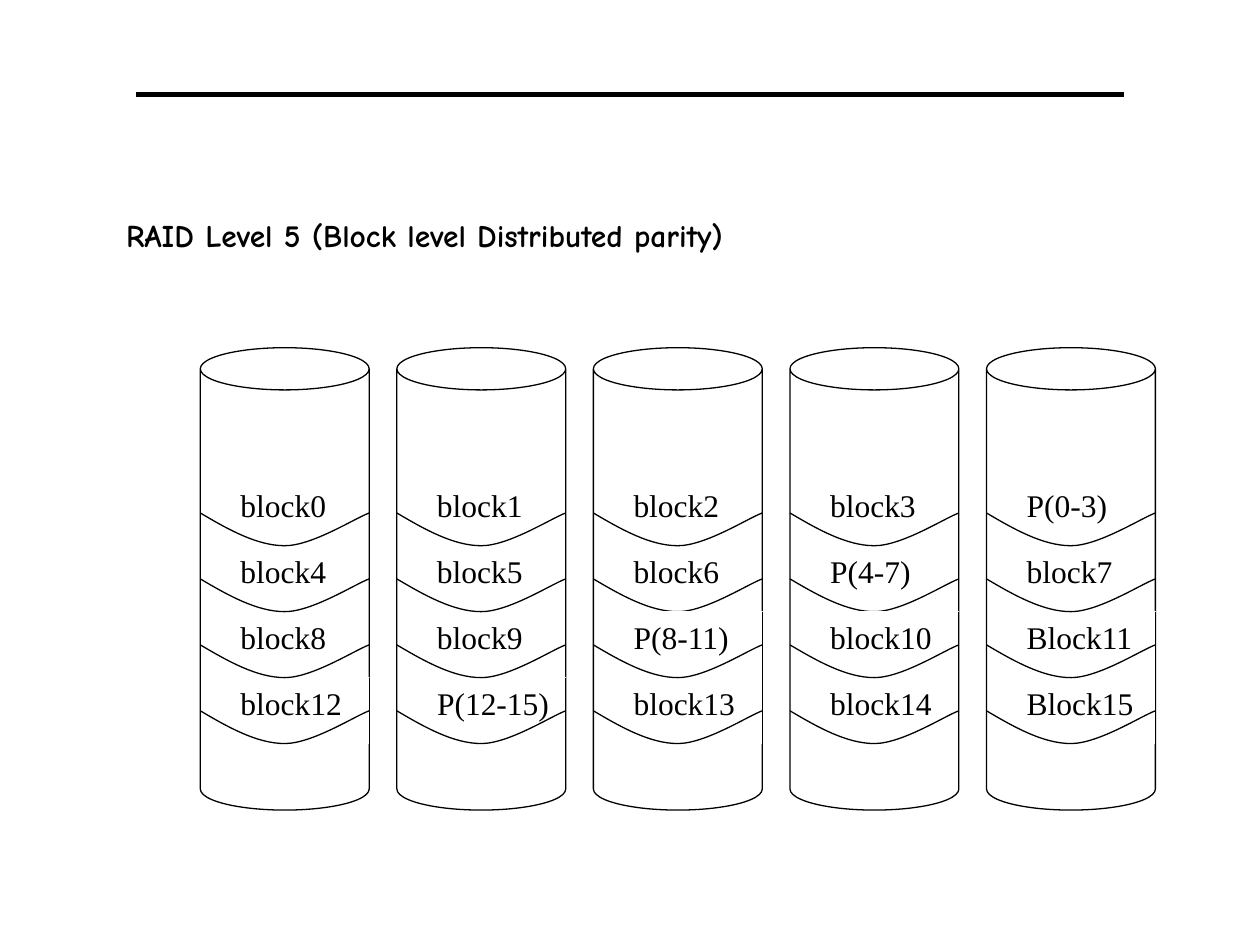
from lxml import etree
from pptx import Presentation
from pptx.dml.color import RGBColor
from pptx.enum.shapes import MSO_CONNECTOR, MSO_SHAPE
from pptx.enum.text import MSO_ANCHOR, PP_ALIGN
from pptx.oxml.ns import qn
from pptx.util import Inches, Pt

STRAIGHT = MSO_CONNECTOR.STRAIGHT
CAN, RECT = MSO_SHAPE.CAN, MSO_SHAPE.RECTANGLE
LEFT, TOP = PP_ALIGN.LEFT, MSO_ANCHOR.TOP

BLACK, WHITE = "000000", "FFFFFF"
THIN = 0.75
HEAD = {"name": "Comic Neue", "size": Pt(18), "bold": True}
LABEL = {"name": "Times New Roman", "size": Pt(18), "bold": False}
PARA = {"alignment": LEFT, "line_spacing": 0.9, "space_before": Pt(11.2)}
FRAME = {"word_wrap": True, "vertical_anchor": TOP}

ONCE = [(0, 1, 2, 3)]
TWICE = [(0, 1, 3), (2,)]
DISKS = [
    (["block0", "block4", "block8", "block12"], ONCE),
    (["block1", "block5", "block9", "P(12-15)"], ONCE),
    (["block2", "block6", "P(8-11)", "block13"], TWICE),
    (["block3", "P(4-7)", "block10", "block14"], TWICE),
    (["P(0-3)", "block7", "Block11", "Block15"], ONCE),
]
DISK_X, DISK_Y, DISK_W, DISK_H = 1.59, 2.76, 1.34, 3.67
DISK_GAP = 1.56
ROW_Y, ROW_H = 3.81, 1.57 / 3
INDENT = 0.22
CURVE = [(0.22, 0.13), (0.45, 0.26), (0.67, 0.26),
         (0.89, 0.26), (1.23, 0.04), (1.34, 0)]


def color(code):
    """Return the colour for a hex string."""
    return RGBColor.from_string(code)


def assign(item, values):
    """Set every attribute named in values."""
    for key, value in values.items():
        setattr(item, key, value)


def stroke(item, code, width):
    """Set the line colour and width."""
    item.line.color.rgb = color(code)
    item.line.width = Pt(width)


def write(frame, text, font):
    """Write one formatted line of text."""
    assign(frame, FRAME)
    para = frame.paragraphs[0]
    para.alignment = LEFT
    run = para.add_run()
    run.text = text
    assign(run.font, font)
    run.font.color.rgb = color(BLACK)
    return para


def add_line(shapes, start, end, width):
    """Add a black straight line without a shadow."""
    line = shapes.add_connector(STRAIGHT, *map(Inches, start + end))
    stroke(line, BLACK, width)
    etree.SubElement(line.element.spPr, qn("a:effectLst"))


def add_box(shapes, kind, box, edge):
    """Add a white preset shape."""
    shape = shapes.add_shape(kind, *map(Inches, box))
    shape.shadow.inherit = False
    shape.fill.solid()
    shape.fill.fore_color.rgb = color(WHITE)
    stroke(shape, edge, THIN)
    return shape


def bend(shape):
    """Turn each three line segments into one cubic curve."""
    lines = list(shape.element.iter(qn("a:lnTo")))
    for i in range(0, len(lines), 3):
        cubic = etree.Element(qn("a:cubicBezTo"))
        lines[i].addprevious(cubic)
        for line in lines[i:i + 3]:
            cubic.append(line[0])
            line.getparent().remove(line)


def add_curve(shapes, left, top):
    """Add the sagging line below a block."""
    draft = shapes.build_freeform(Inches(left), Inches(top))
    points = [(Inches(left + x), Inches(top + y)) for x, y in CURVE]
    draft.add_line_segments(points, close=False)
    curve = draft.convert_to_shape()
    bend(curve)
    curve.shadow.inherit = False
    curve.fill.background()
    stroke(curve, BLACK, THIN)


def add_rows(shapes, left, rows):
    """Add blocks, then their curves, then the covered disk edge."""
    right = left + DISK_W
    short = len("block0")
    for top, label in rows:
        width = DISK_W - INDENT * (1 if len(label) > short else 2)
        box = add_box(shapes, RECT, (left + INDENT, top, width, ROW_H), WHITE)
        write(box.text_frame, label, LABEL)
    for top, label in rows:
        add_curve(shapes, left, top + ROW_H / 2)
    for top, label in rows:
        if len(label) > short:
            add_line(shapes, (right, top), (right, top + ROW_H), THIN)


def add_disk(slide, left, labels, batches):
    """Add one disk with its blocks as a group."""
    shapes = slide.shapes.add_group_shape().shapes
    add_box(shapes, CAN, (left, DISK_Y, DISK_W, DISK_H), BLACK)
    for batch in batches:
        rows = [(ROW_Y + i * ROW_H, labels[i]) for i in batch]
        add_rows(shapes, left, rows)


def add_head(slide):
    """Fill the body placeholder and drop the empty title."""
    title, body = slide.placeholders
    title.element.getparent().remove(title.element)
    spot = dict(zip(("left", "top", "width", "height"),
                    map(Inches, (0.9, 1.7, 8.66, 5.2))))
    assign(body, spot)
    para = write(body.text_frame,
                 "RAID Level 5 (Block level Distributed parity)", HEAD)
    assign(para, PARA)
    props = para._p.get_or_add_pPr()
    props.set("marL", str(Inches(0.31)))
    props.set("indent", str(-Inches(0.31)))
    etree.SubElement(props, qn("a:buNone"))


def main():
    """Build the slide and save it."""
    deck = Presentation()
    deck.slide_width, deck.slide_height = Inches(10), Inches(7.5)
    slide = deck.slides.add_slide(deck.slide_layouts[1])
    add_line(slide.shapes, (1.08, 0.75), (8.92, 0.75), 3)
    add_head(slide)
    for i, (labels, batches) in enumerate(DISKS):
        add_disk(slide, DISK_X + i * DISK_GAP, labels, batches)
    deck.save("out.pptx")


if __name__ == "__main__":
    main()
